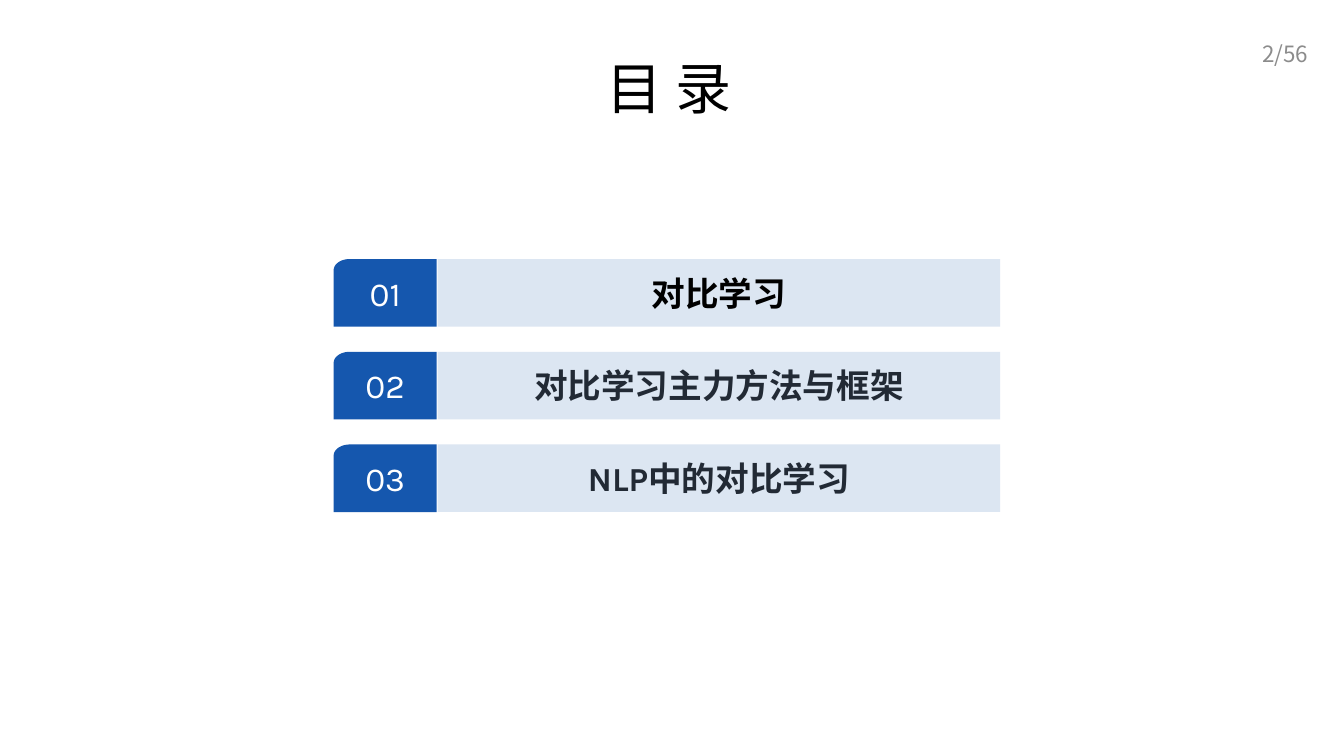
from math import cos, pi, sin

from lxml.etree import SubElement
from pptx import Presentation
from pptx.dml.color import RGBColor
from pptx.enum.shapes import MSO_SHAPE as Shape
from pptx.enum.text import MSO_ANCHOR as Anchor, PP_ALIGN as Align
from pptx.oxml.ns import qn
from pptx.util import Inches, Pt

BLACK = RGBColor(0x00, 0x00, 0x00)
WHITE = RGBColor(0xFF, 0xFF, 0xFF)
SLATE = RGBColor(0x22, 0x2A, 0x35)
GREY = RGBColor(0x8C, 0x8C, 0x8C)
BLUE = RGBColor(0x15, 0x57, 0xAE)
PALE_BLUE = RGBColor(0xDC, 0xE6, 0xF2)
CJK_FONT = "Noto Sans CJK SC"
LATIN_FONT = "Karla"

BADGE_LEFT, BADGE_WIDTH = 3.31, 1.02
BAR_LEFT, BAR_WIDTH = 4.34, 5.58
FIRST_TOP, ROW_HEIGHT, ROW_STEP = 2.57, 0.67, 0.92
CORNER_WIDTH, CORNER_HEIGHT, CORNER_STEPS = 0.16, 0.11, 16
CHAPTERS = [
    ("对比学习", BLACK),
    ("对比学习主力方法与框架", SLATE),
    ("NLP中的对比学习", SLATE),
]


def write_text(shape, text, size, font_name, color, bold=False, align=Align.CENTER):
    """Write one formatted line into a shape."""
    frame = shape.text_frame
    frame.text = text
    frame.vertical_anchor = Anchor.MIDDLE
    paragraph = frame.paragraphs[0]
    paragraph.alignment = align
    run = paragraph.runs[0]
    run.font.size = Pt(size)
    run.font.name = font_name
    run.font.bold = bold
    run.font.color.rgb = color
    SubElement(run.font._element, qn("a:ea")).set("typeface", CJK_FONT)


def paint(shape, color):
    """Give a shape a plain fill with no line or shadow."""
    shape.shadow.inherit = False
    shape.fill.solid()
    shape.fill.fore_color.rgb = color
    shape.line.fill.background()


def add_label(slide, left, top, width, height, text, size, color, align, wrap):
    """Add a text box holding one line."""
    box = slide.shapes.add_textbox(Inches(left), Inches(top), Inches(width), Inches(height))
    write_text(box, text, size, CJK_FONT, color, align=align)
    box.text_frame.word_wrap = wrap


def add_badge(slide, top, number):
    """Add a numbered badge whose top left corner is rounded."""
    right, bottom = BADGE_LEFT + BADGE_WIDTH, top + ROW_HEIGHT
    angles = [pi / 2 * step / CORNER_STEPS for step in range(CORNER_STEPS + 1)]
    corner = [
        (BADGE_LEFT + CORNER_WIDTH * (1 - sin(angle)), top + CORNER_HEIGHT * (1 - cos(angle)))
        for angle in angles
    ]
    outline = corner + [(BADGE_LEFT, bottom), (right, bottom)]
    builder = slide.shapes.build_freeform(Inches(right), Inches(top))
    builder.add_line_segments([(Inches(x), Inches(y)) for x, y in outline], close=True)
    badge = builder.convert_to_shape()
    paint(badge, BLUE)
    write_text(badge, number, 24, LATIN_FONT, WHITE)


def add_bar(slide, top, title, color):
    """Add the bar with a chapter title."""
    bar = slide.shapes.add_shape(
        Shape.RECTANGLE, Inches(BAR_LEFT), Inches(top), Inches(BAR_WIDTH), Inches(ROW_HEIGHT)
    )
    paint(bar, PALE_BLUE)
    write_text(bar, title, 24, LATIN_FONT, color, bold=True)


def main():
    """Build the contents slide."""
    presentation = Presentation()
    presentation.slide_width, presentation.slide_height = Inches(13.33), Inches(7.5)
    slide = presentation.slides.add_slide(presentation.slide_layouts[6])
    add_label(slide, 5.92, 0.48, 1.5, 0.77, "目 录", 40, BLACK, Align.LEFT, False)
    for index, (title, color) in enumerate(CHAPTERS):
        top = FIRST_TOP + index * ROW_STEP
        add_badge(slide, top, f"{index + 1:02}")
        add_bar(slide, top, title, color)
    add_label(slide, 12.34, 0.33, 0.81, 0.4, "2/56", 16, GREY, Align.CENTER, True)
    presentation.save("out.pptx")


if __name__ == "__main__":
    main()
